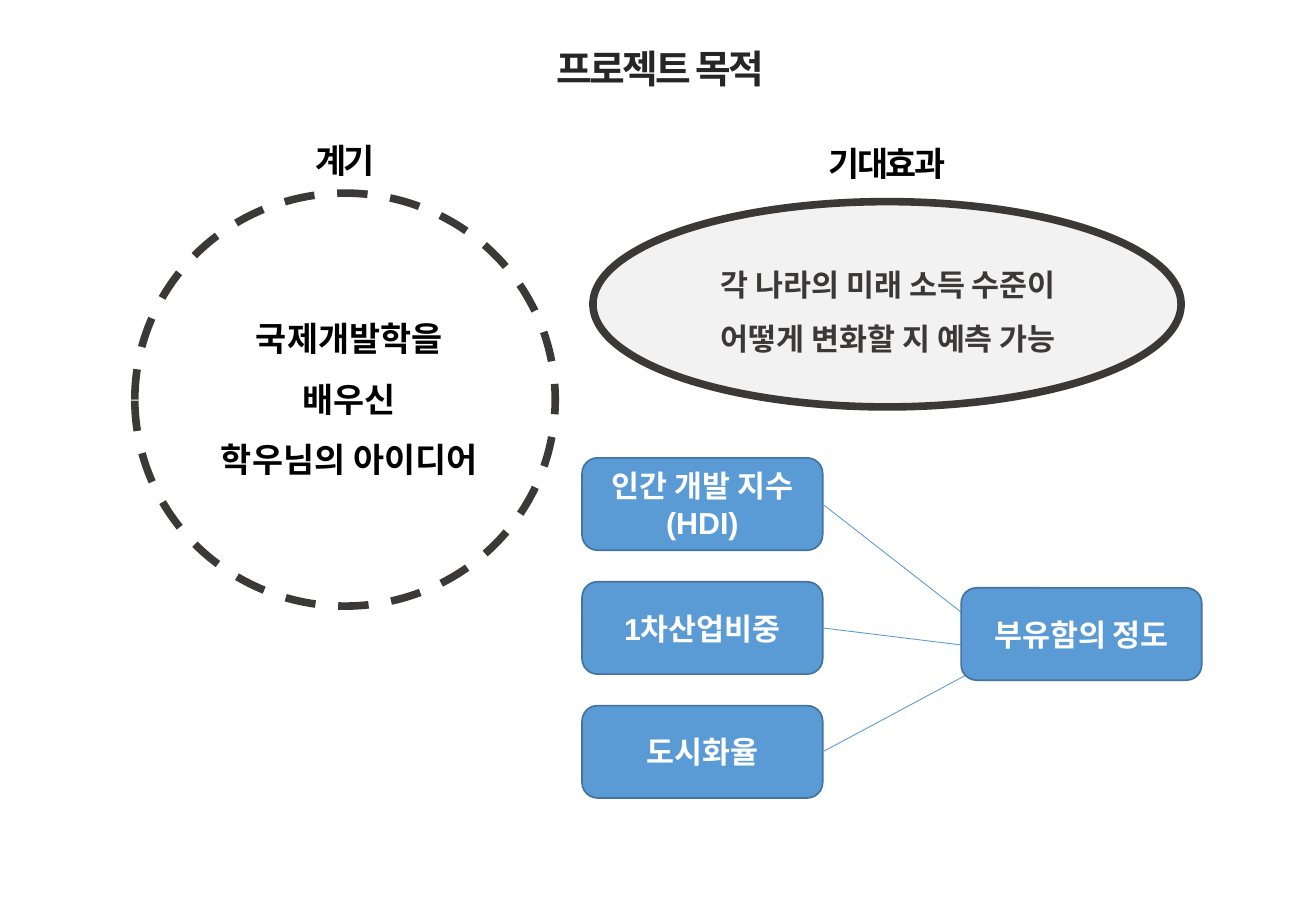
import pptx
import pptx.util
import pptx.dml.color
import pptx.enum.dml
import pptx.enum.shapes
import pptx.enum.text
import pptx.oxml.ns
from lxml import etree

Inches, Pt = pptx.util.Inches, pptx.util.Pt
RGBColor = pptx.dml.color.RGBColor
Kind = pptx.enum.shapes.MSO_SHAPE
Anchor = pptx.enum.text.MSO_ANCHOR
qn = pptx.oxml.ns.qn

# Content
TITLE = "프로젝트 목적"
CAUSE = "계기"
IDEA = ["국제개발학을", "배우신", "학우님의 아이디어"]
EFFECT = "기대효과"
HOPE = ["각 나라의 미래 소득 수준이", "어떻게 변화할 지 예측 가능"]
FACTORS = ["인간 개발 지수(HDI)", "1차산업비중", "도시화율"]
RESULT = "부유함의 정도"

# Style
KOREAN = "Noto Sans CJK KR"
BLACK = RGBColor(0x00, 0x00, 0x00)
INK = RGBColor(0x26, 0x26, 0x26)
DARK = RGBColor(0x3B, 0x38, 0x38)
PALE = RGBColor(0xF2, 0xF2, 0xF2)
BLUE = RGBColor(0x5B, 0x9B, 0xD5)
EDGE = RGBColor(0x43, 0x73, 0x9E)
WHITE = RGBColor(0xFF, 0xFF, 0xFF)

# Layout, in inches
RING = (1.11, 1.59, 3.46, 3.4)
OVAL = (4.88, 1.66, 4.84, 1.69)
BOX_W, BOX_H = 1.98, 0.76
BOX_X, BOX_Y, STEP = 4.79, 3.77, 1.02
END_X, END_Y = 7.91, 4.84
MEET = (8.32, 5.36)


def write(frame, lines, size, color, font=KOREAN, gap=1.0, track=0,
          anchor=Anchor.TOP):
    frame.word_wrap = True
    frame.auto_size = pptx.enum.text.MSO_AUTO_SIZE.NONE
    frame.vertical_anchor = anchor
    for i, line in enumerate(lines):
        para = frame.add_paragraph() if i else frame.paragraphs[0]
        para.alignment = pptx.enum.text.PP_ALIGN.CENTER
        para.line_spacing = gap
        run = para.add_run()
        run.text = line
        run.font.name = font
        run.font.size = Pt(size)
        run.font.bold = True
        run.font.color.rgb = color
        props = run.font._element
        if track:
            props.set("spc", str(int(track * 100)))
        # East Asian face follows the Latin one
        east = etree.Element(qn("a:ea"), typeface=KOREAN)
        props.find(qn("a:latin")).addnext(east)


def place(shape, rect):
    shape.left, shape.top, shape.width, shape.height = map(Inches, rect)


def label(rect, lines, size, color, **style):
    box = slide.shapes.add_textbox(*map(Inches, rect))
    write(box.text_frame, lines, size, color, **style)


def draw(kind, rect, fill, line, width):
    shape = slide.shapes.add_shape(kind, *map(Inches, rect))
    shape.shadow.inherit = False
    if fill is None:
        shape.fill.background()
    else:
        shape.fill.solid()
        shape.fill.fore_color.rgb = fill
    shape.line.color.rgb = line
    shape.line.width = Pt(width)
    return shape


def card(x, y, text):
    box = draw(Kind.ROUNDED_RECTANGLE, (x, y, BOX_W, BOX_H), BLUE, EDGE, 1)
    write(box.text_frame, [text], 18, WHITE, font="Arial",
          anchor=Anchor.MIDDLE)


def link(start, end):
    line = slide.shapes.add_connector(
        pptx.enum.shapes.MSO_CONNECTOR.STRAIGHT, *map(Inches, start + end))
    line.line.color.rgb = BLUE
    line.line.width = Pt(0.5)
    etree.SubElement(line._element.spPr, qn("a:effectLst"))


deck = pptx.Presentation()
deck.slide_width, deck.slide_height = Inches(10.83), Inches(7.5)
slide = deck.slides.add_slide(deck.slide_layouts[5])

# Title
title = slide.shapes.title
place(title, (3.26, 0.32, 4.35, 0.49))
write(title.text_frame, [TITLE], 23, INK, track=-1.5)

# Cause: dashed ring
ring = draw(Kind.OVAL, RING, None, DARK, 4.5)
ring.line.dash_style = pptx.enum.dml.MSO_LINE.DASH
label((1.46, 2.4, 2.83, 1.89), IDEA, 20, BLACK, font="Calibri", gap=1.5)

# Effect: filled oval
draw(Kind.OVAL, OVAL, PALE, DARK, 4.5)
label((5.43, 1.99, 3.76, 0.95), HOPE, 18, DARK, gap=1.5)

# Headings centred over the two rounds
for text, rect, top in [(CAUSE, RING, 1.1), (EFFECT, OVAL, 1.13)]:
    label((rect[0], top, rect[2], 0.44), [text], 20, BLACK, track=-1.5)

# Factors and their links, with the result box on top
for i, text in enumerate(FACTORS):
    y = BOX_Y + i * STEP
    card(BOX_X, y, text)
    link((BOX_X + BOX_W, y + BOX_H / 2), MEET)
card(END_X, END_Y, RESULT)

deck.save("out.pptx")
